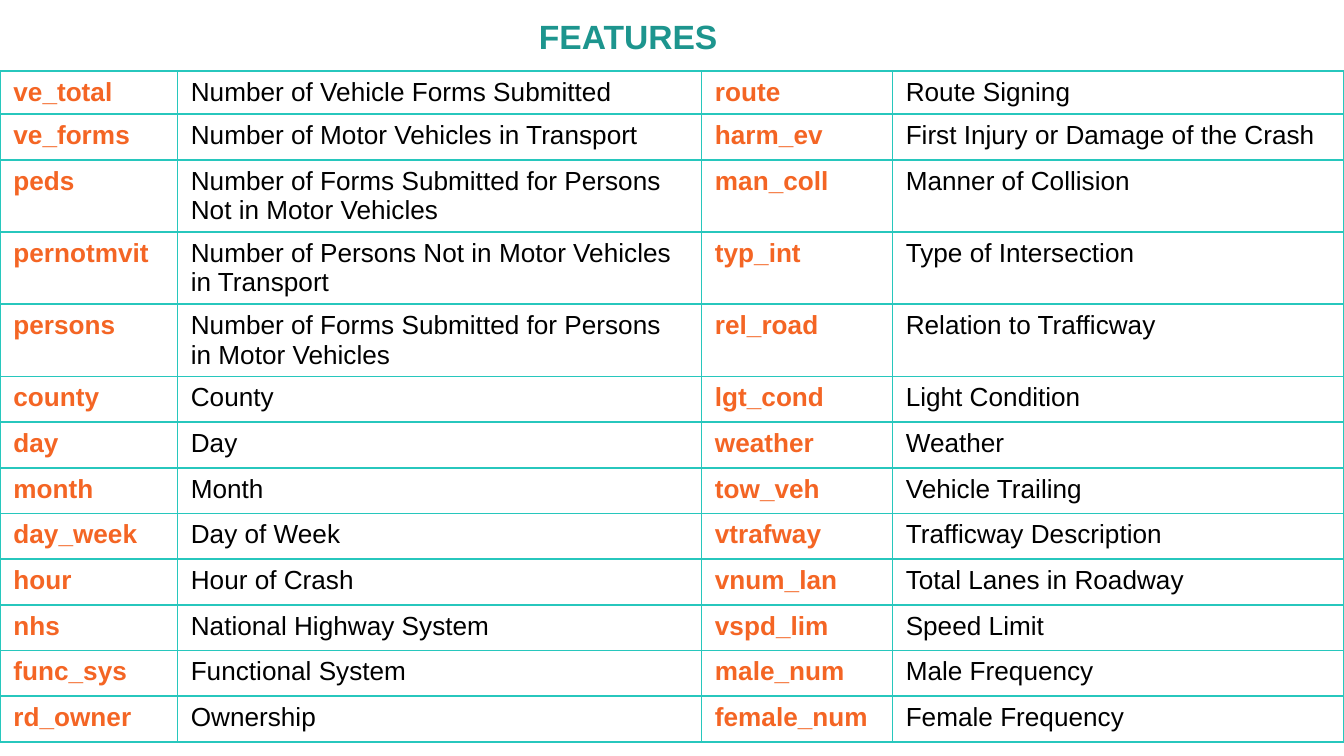
from lxml.etree import SubElement
from pptx import Presentation
from pptx.dml.color import RGBColor
from pptx.enum.text import MSO_ANCHOR, MSO_AUTO_SIZE, PP_ALIGN
from pptx.oxml.ns import qn
from pptx.util import Inches, Pt

# Content: name, description, name, description (a newline starts a paragraph)
TITLE = "FEATURES"
FEATURES = [
    ("ve_total", "Number of Vehicle Forms Submitted", "route", "Route Signing"),
    ("ve_forms", "Number of Motor Vehicles in Transport",
     "harm_ev", "First Injury or Damage of the Crash"),
    ("peds", "Number of Forms Submitted for Persons\nNot in Motor Vehicles",
     "man_coll", "Manner of Collision"),
    ("pernotmvit", "Number of Persons Not in Motor Vehicles\nin Transport",
     "typ_int", "Type of Intersection"),
    ("persons", "Number of Forms Submitted for Persons\nin Motor Vehicles",
     "rel_road", "Relation to Trafficway"),
    ("county", "County", "lgt_cond", "Light Condition"),
    ("day", "Day", "weather", "Weather"),
    ("month", "Month", "tow_veh", "Vehicle Trailing"),
    ("day_week", "Day of Week", "vtrafway", "Trafficway Description"),
    ("hour", "Hour of Crash", "vnum_lan", "Total Lanes in Roadway"),
    ("nhs", "National Highway System", "vspd_lim", "Speed Limit"),
    ("func_sys", "Functional System", "male_num", "Male Frequency"),
    ("rd_owner", "Ownership", "female_num", "Female Frequency"),
]

THEME = {
    "font": "Arial",
    "title": "1D958E", "name": "F46524", "text": "000000", "border": "27C7BD",
    "title_size": 18, "cell_size": 14, "border_width": 1,
}
COL_WIDTHS = [1.32, 3.9, 1.42, 3.36]
TABLE_TOP, TABLE_HEIGHT = 0.53, 5.09
ROW_HEIGHT = 0.34  # rows grow to fit their text


def format_text(tf, size, color, bold):
    for p in tf.paragraphs:
        for r in p.runs:
            r.font.name = THEME["font"]
            r.font.size = Pt(size)
            r.font.bold = bold
            r.font.color.rgb = RGBColor.from_string(color)


def add_borders(cell):
    tc_pr = cell._tc.get_or_add_tcPr()
    for side in ("a:lnL", "a:lnR", "a:lnT", "a:lnB"):
        ln = SubElement(tc_pr, qn(side), w=str(Pt(THEME["border_width"])))
        fill = SubElement(ln, qn("a:solidFill"))
        SubElement(fill, qn("a:srgbClr"), val=THEME["border"])


# Widescreen slide, 16:9
prs = Presentation()
prs.slide_width = Inches(10)
prs.slide_height = prs.slide_width * 9 // 16
slide = prs.slides.add_slide(prs.slide_layouts[5])

# Title
title = slide.shapes.title
title.left, title.top = Inches(3.91), Inches(0.07)
title.width, title.height = Inches(1.57), Inches(0.4)
tf = title.text_frame
tf.text = TITLE
tf.word_wrap = False
tf.auto_size = MSO_AUTO_SIZE.NONE
tf.vertical_anchor = MSO_ANCHOR.TOP
tf.paragraphs[0].alignment = PP_ALIGN.LEFT
format_text(tf, THEME["title_size"], THEME["title"], True)

# Feature table
frame = slide.shapes.add_table(
    len(FEATURES), len(COL_WIDTHS), 0, Inches(TABLE_TOP),
    prs.slide_width, Inches(TABLE_HEIGHT))
table = frame.table
table.first_row = table.horz_banding = False
for column, width in zip(table.columns, COL_WIDTHS):
    column.width = Inches(width)

for i, row in enumerate(FEATURES):
    # The first row is only as tall as its text
    table.rows[i].height = Inches(ROW_HEIGHT if i else 0)
    for j, text in enumerate(row):
        cell = table.cell(i, j)
        cell.text_frame.text = text
        is_name = j % 2 == 0
        color = THEME["name"] if is_name else THEME["text"]
        format_text(cell.text_frame, THEME["cell_size"], color, is_name)
        add_borders(cell)
        cell.fill.background()
frame.height = Inches(TABLE_HEIGHT)

prs.save("out.pptx")
